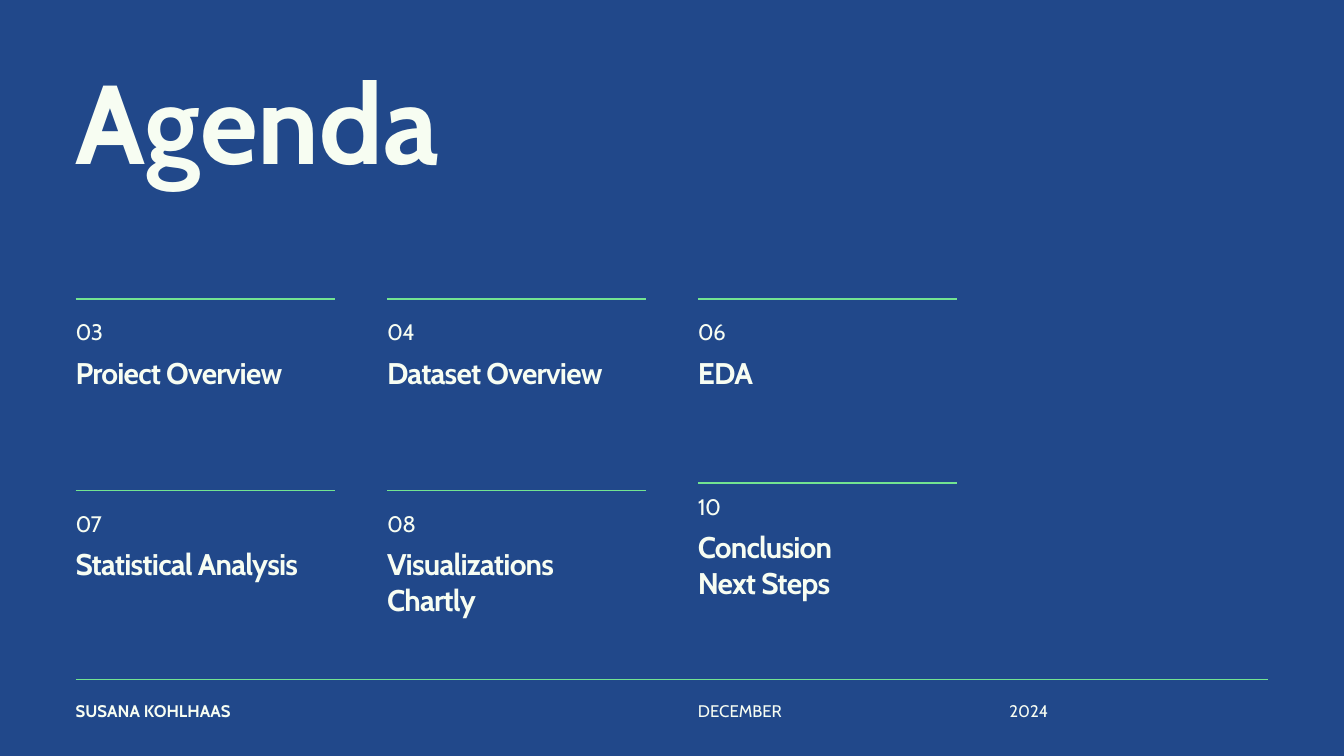
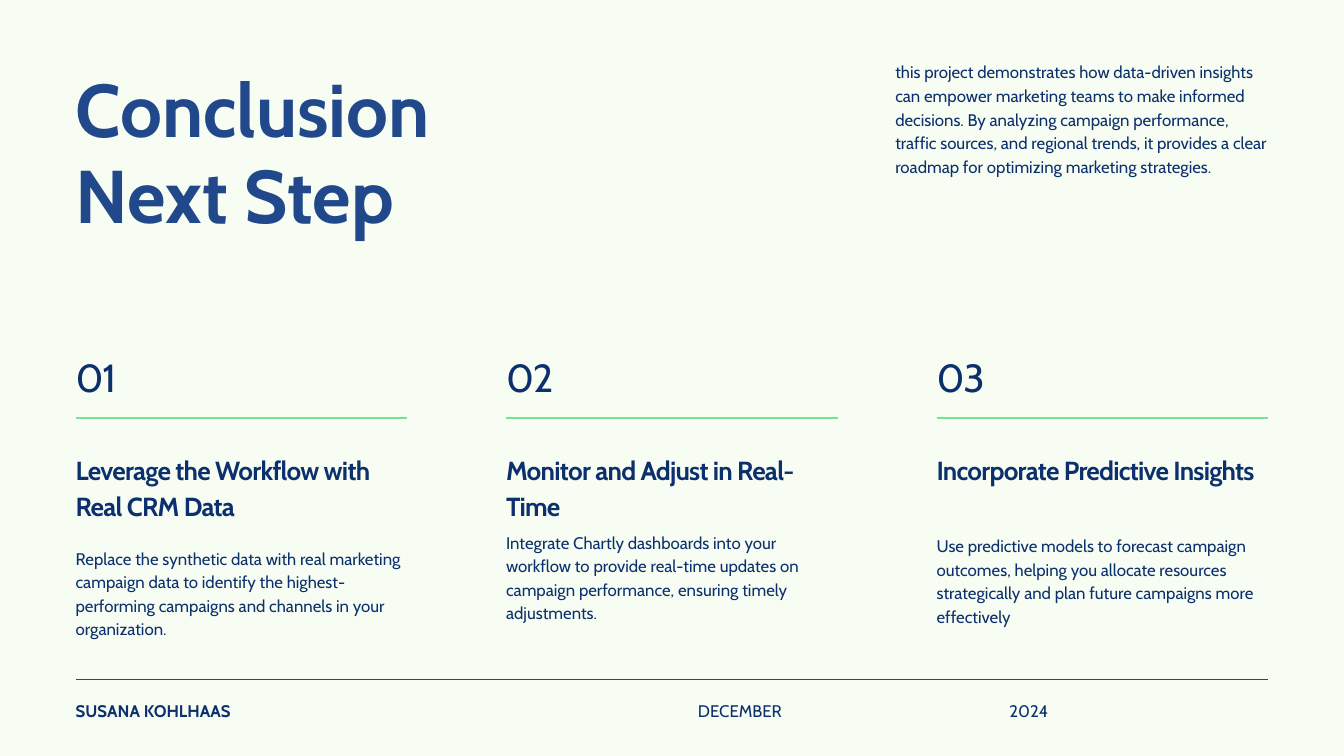
"""Build the agenda and conclusion slides of a marketing data project."""
from lxml import etree
from pptx import Presentation
from pptx.dml.color import RGBColor
from pptx.enum.shapes import MSO_CONNECTOR
from pptx.enum.text import MSO_AUTO_SIZE
from pptx.oxml.ns import qn
from pptx.util import Emu, Pt

STRAIGHT = MSO_CONNECTOR.STRAIGHT
GROW = MSO_AUTO_SIZE.SHAPE_TO_FIT_TEXT

BLUE = RGBColor(0x21, 0x48, 0x8A)
NAVY = RGBColor(0x0C, 0x30, 0x6D)
CREAM = RGBColor(0xF7, 0xFD, 0xF2)
GREEN = RGBColor(0x73, 0xE4, 0x91)

FONT = "Cabin"
EMU_PER_PX = 9525
SLIDE_W, SLIDE_H = 1920, 1080
MARGIN = 108
CONTENT_W = SLIDE_W - 2 * MARGIN
AGENDA_W = 370
STEP_W = 474

AUTHOR, MONTH, YEAR = "SUSANA KOHLHAAS", "DECEMBER", "2024"

AGENDA_TITLE = ["Agenda"]
AGENDA_ROWS = [
    [
        ("03", ["Proiect Overview"], 427, 28),
        ("04", ["Dataset Overview"], 427, 28),
        ("06", ["EDA"], 427, 28),
    ],
    [
        ("07", ["Statistical Analysis"], 701, 28),
        ("08", ["Visualizations", "Chartly"], 701, 28),
        ("10", ["Conclusion", "Next Steps"], 690, 14),
    ],
]

CONCLUSION_TITLE = ["Conclusion", "Next Step"]
SUMMARY = (
    "this project demonstrates how data-driven insights can empower marketing "
    "teams to make informed decisions. By analyzing campaign performance, "
    "traffic sources, and regional trends, it provides a clear roadmap for "
    "optimizing marketing strategies."
)
STEPS = [
    (
        "01",
        "Leverage the Workflow with Real CRM Data",
        "Replace the synthetic data with real marketing campaign data to identify "
        "the highest-performing campaigns and channels in your organization.",
        779,
    ),
    (
        "02",
        "Monitor and Adjust in Real-Time",
        "Integrate Chartly dashboards into your workflow to provide real-time "
        "updates on campaign performance, ensuring timely adjustments.",
        756,
    ),
    (
        "03",
        "Incorporate Predictive Insights",
        "Use predictive models to forecast campaign outcomes, helping you allocate "
        "resources strategically and plan future campaigns more effectively",
        761,
    ),
]


def px(length):
    return Emu(round(length * EMU_PER_PX))


def columns(count, width):
    pitch = (CONTENT_W - width) / (count - 1)
    return [round(MARGIN + i * pitch) for i in range(count)]


def add_text(slide, lines, x, y, w, h, *, size, leading, color, bold=False, tracking=0):
    frame = slide.shapes.add_textbox(px(x), px(y), px(w), px(h)).text_frame
    frame.word_wrap = True
    frame.auto_size = GROW
    frame.margin_left = frame.margin_right = frame.margin_top = frame.margin_bottom = 0
    for i, line in enumerate(lines):
        paragraph = frame.add_paragraph() if i else frame.paragraphs[0]
        paragraph.line_spacing = Pt(leading)
        run = paragraph.add_run()
        run.text = line
        run.font.name = FONT
        run.font.size = Pt(size)
        run.font.bold = bold
        run.font.color.rgb = color
        if tracking:
            run.font._element.set("spc", str(round(tracking * 100)))


def add_rule(slide, x, y, w, color=GREEN):
    rule = slide.shapes.add_connector(STRAIGHT, px(x), px(y), px(x + w), px(y))
    rule.line.color.rgb = color
    rule.line.width = Pt(1.5)
    etree.SubElement(rule._element.spPr, qn("a:effectLst"))


def add_page(deck, background, rule_color, text_color):
    slide = deck.slides.add_slide(deck.slide_layouts[6])
    slide.background.fill.solid()
    slide.background.fill.fore_color.rgb = background
    add_rule(slide, MARGIN, 971, CONTENT_W, rule_color)
    author_x, _, month_x, year_x = columns(4, AGENDA_W)
    for label, x, bold in ((AUTHOR, author_x, True), (MONTH, month_x, False), (YEAR, year_x, False)):
        add_text(slide, [label], x, 996, AGENDA_W, 36,
                 size=18, leading=25.2, color=text_color, bold=bold)
    return slide


def build_agenda(deck):
    slide = add_page(deck, BLUE, GREEN, CREAM)
    add_text(slide, AGENDA_TITLE, MARGIN, 107, 889, 193,
             size=120, leading=120, color=CREAM, bold=True)
    for row in AGENDA_ROWS:
        for x, (number, topic, rule_y, gap) in zip(columns(4, AGENDA_W), row):
            number_y = rule_y + gap
            add_rule(slide, x, rule_y, AGENDA_W)
            add_text(slide, [number], x, number_y, 114, 43,
                     size=24, leading=28.8, color=CREAM, tracking=-0.7)
            add_text(slide, topic, x, number_y + 51, AGENDA_W, 6 + 52 * len(topic),
                     size=32, leading=38.4, color=CREAM, bold=True, tracking=-0.9)


def build_conclusion(deck):
    slide = add_page(deck, CREAM, BLUE, NAVY)
    add_text(slide, CONCLUSION_TITLE, MARGIN, 95, 1074, 262,
             size=80, leading=92, color=BLUE, bold=True)
    add_text(slide, [SUMMARY], 1279, 84, 534, 202, size=18, leading=25.2, color=NAVY)
    for x, (number, heading, advice, advice_y) in zip(columns(len(STEPS), STEP_W), STEPS):
        add_text(slide, [number], x, 493, 237, 84,
                 size=42, leading=58.8, color=NAVY, tracking=-1.3)
        add_rule(slide, x, 597, STEP_W)
        add_text(slide, [heading], x, 641, STEP_W, 108,
                 size=28, leading=39.2, color=NAVY, bold=True, tracking=-0.8)
        add_text(slide, [advice], x, advice_y, STEP_W, 135,
                 size=18, leading=25.2, color=NAVY)


def main():
    deck = Presentation()
    deck.slide_width, deck.slide_height = px(SLIDE_W), px(SLIDE_H)
    build_agenda(deck)
    build_conclusion(deck)
    deck.save("out.pptx")


if __name__ == "__main__":
    main()
